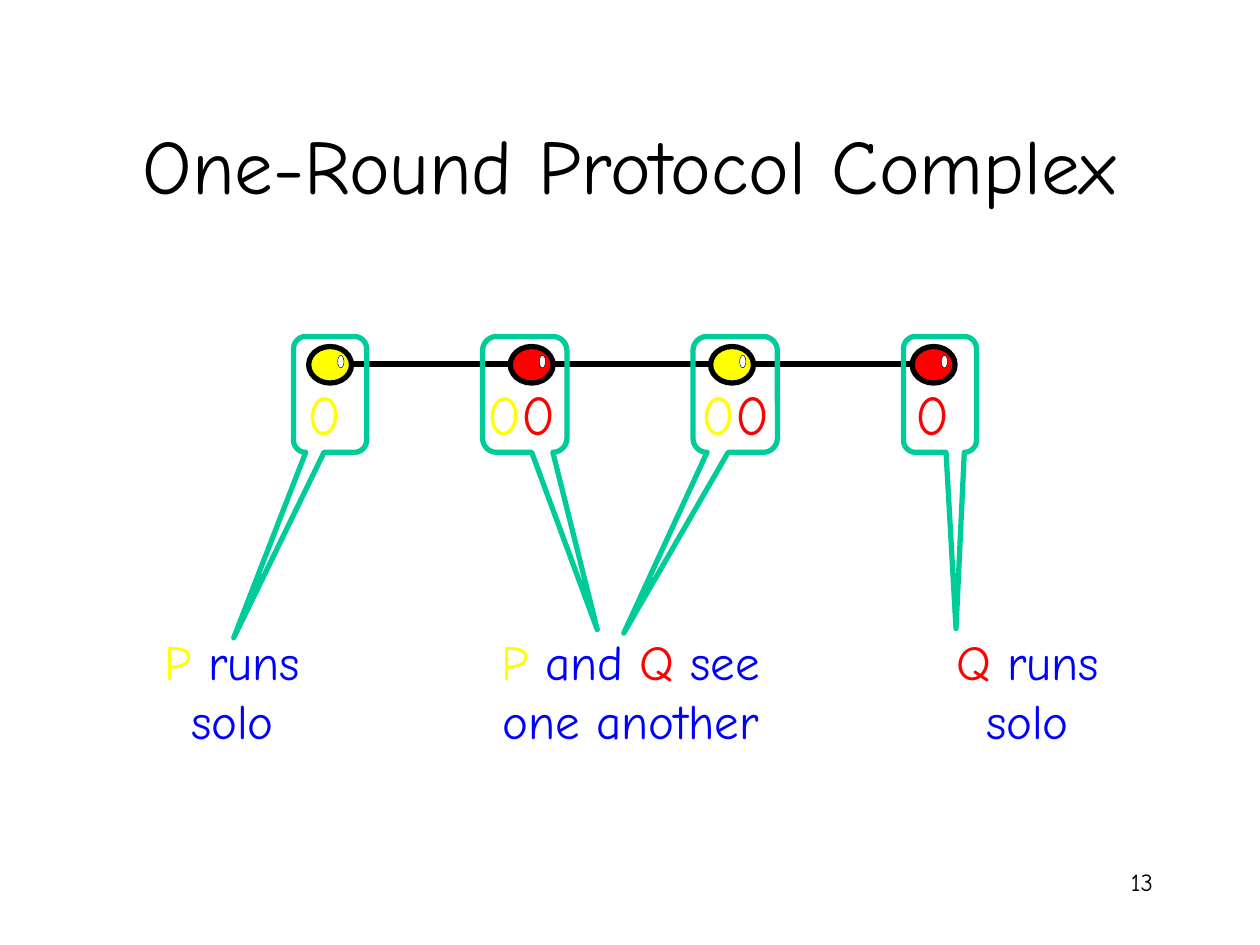
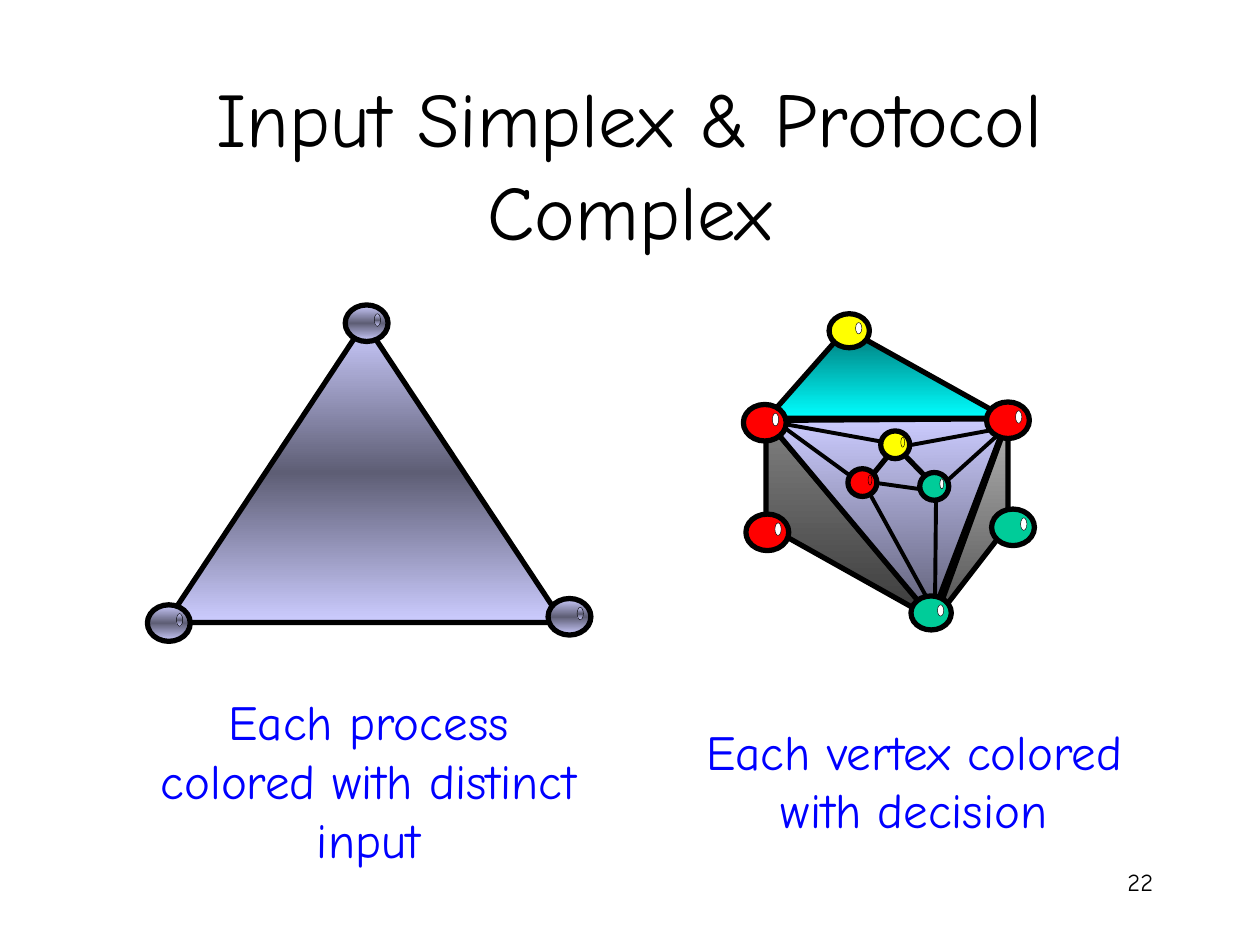
from dataclasses import dataclass

from lxml.etree import SubElement
from pptx import Presentation
from pptx.dml.color import RGBColor as Rgb
from pptx.enum.shapes import MSO_CONNECTOR as Link, MSO_SHAPE as Preset
from pptx.enum.text import MSO_ANCHOR as Anchor, PP_ALIGN as Align
from pptx.oxml.ns import qn
from pptx.util import Emu, Pt

PX = 9144


@dataclass(frozen=True)
class Theme:
    font: str = "Comic Neue"
    ink: str = "000000"
    paper: str = "FFFFFF"
    blue: str = "0000FF"
    yellow: str = "FFFF00"
    red: str = "FF0000"
    green: str = "00CC99"
    steel: tuple = ("CCCCFF", "5E5E75", "CCCCFF")
    rising_steel: tuple = ("5E5E75", "CCCCFF")
    teal: tuple = ("007575", "00FFFF")
    light_grey: tuple = ("B2B2B2", "525252")
    dark_grey: tuple = ("808080", "3B3B3B")
    title_size: int = 44
    value_size: int = 32
    label_size: int = 28
    number_size: int = 14
    bold_line: float = 3
    thin_line: float = 2.25
    hair_line: float = 0.25


THEME = Theme()

BEADS = {
    "large": ((34, 29), (23, 7, 5, 10)),
    "medium": ((32, 27), (21, 7, 5, 9)),
    "small": ((23, 22), (16, 5, 3, 8)),
}


class Painter:
    def __init__(self, deck, theme):
        self.deck = deck
        self.theme = theme
        self.page = None

    def new_page(self, title, number):
        theme = self.theme
        self.page = self.deck.slides.add_slide(self.deck.slide_layouts[6])
        self.text(75, 67, 850, 125, [(title, theme.ink)], theme.title_size)
        self.text(717, 683, 208, 50, [(number, theme.ink)], theme.number_size,
                  align=Align.RIGHT, anchor=Anchor.TOP)

    def text(self, left, top, width, height, parts, size,
             align=Align.CENTER, anchor=Anchor.MIDDLE, wrap=True):
        box = self.page.shapes.add_textbox(
            *(Emu(side * PX) for side in (left, top, width, height)))
        frame = box.text_frame
        frame.word_wrap = wrap
        frame.vertical_anchor = anchor
        para = frame.paragraphs[0]
        para.alignment = align
        for words, color in parts:
            span = para.add_run()
            span.text = words
            span.font.name = self.theme.font
            span.font.size = Pt(size)
            span.font.color.rgb = Rgb.from_string(color)

    def paint(self, shape, fill, line, weight):
        shape.shadow.inherit = False
        if fill is None:
            shape.fill.background()
        elif isinstance(fill, tuple):
            self.gradient(shape, fill)
        else:
            shape.fill.solid()
            shape.fill.fore_color.rgb = Rgb.from_string(fill)
        shape.line.color.rgb = Rgb.from_string(line)
        shape.line.width = Pt(weight)

    def gradient(self, shape, colors):
        shape.fill.gradient()
        shape.fill.gradient_angle = 270
        stops = shape._element.spPr.find(qn("a:gradFill")).find(qn("a:gsLst"))
        stops.clear()
        for index, color in enumerate(colors):
            position = index * 100000 // (len(colors) - 1)
            stop = SubElement(stops, qn("a:gs"), pos=str(position))
            SubElement(stop, qn("a:srgbClr"), val=color)

    def shape(self, preset, left, top, width, height, fill,
              line=None, weight=None, adjust=(), turn=0):
        shape = self.page.shapes.add_shape(
            preset, *(Emu(side * PX) for side in (left, top, width, height)))
        for index, value in enumerate(adjust):
            shape.adjustments[index] = value
        shape.rotation = turn
        self.paint(shape, fill, line or self.theme.ink,
                   weight or self.theme.bold_line)

    def polygon(self, points, fill):
        builder = self.page.shapes.build_freeform(*points[0], scale=PX)
        builder.add_line_segments(points[1:], close=True)
        self.paint(builder.convert_to_shape(), fill,
                   self.theme.ink, self.theme.bold_line)

    def line(self, start, end, weight):
        connector = self.page.shapes.add_connector(
            Link.STRAIGHT, *(Emu(value * PX) for value in (*start, *end)))
        connector.line.color.rgb = Rgb.from_string(self.theme.ink)
        connector.line.width = Pt(weight)
        SubElement(connector._element.spPr, qn("a:effectLst"))

    def bead(self, left, top, fill, size="large", shine=None):
        (width, height), (right, down, *shine_size) = BEADS[size]
        self.shape(Preset.OVAL, left, top, width, height, fill)
        self.shape(Preset.OVAL, left + right, top + down, *shine_size,
                   shine or self.theme.paper, weight=self.theme.hair_line)

    def callout(self, left, width, tip):
        self.shape(Preset.ROUNDED_RECTANGULAR_CALLOUT, left, 267, width, 92,
                   None, self.theme.green, adjust=(*tip, 0.167))


def draw_one_round(painter):
    theme = painter.theme
    painter.new_page("One-Round Protocol Complex", "13")

    painter.line((267, 289), (742, 289), theme.bold_line)
    for index in range(4):
        painter.bead(245 + index * 160 - index // 2, 275,
                     (theme.yellow, theme.red)[index % 2])

    p_value, q_value = ("0", theme.yellow), ("0", theme.red)
    for left, width, values in (
        (234, 47, [p_value]),
        (377, 74, [p_value, q_value]),
        (547, 74, [p_value, q_value]),
        (717, 47, [q_value]),
    ):
        painter.text(left, 296, width, 64, values, theme.value_size, wrap=False)

    p_name, q_name = ("P", theme.yellow), ("Q", theme.red)
    solo = (" runs solo", theme.blue)
    for left, width, parts in (
        (105, 159, [p_name, solo]),
        (369, 263, [p_name, (" and ", theme.blue),
                    q_name, (" see one another", theme.blue)]),
        (736, 159, [q_name, solo]),
    ):
        painter.text(left, 496, width, 104, parts, theme.label_size)

    for left, width, tip in (
        (233, 58, (-1.32, 2.1)),
        (717, 58, (0.22, 2.02)),
        (383, 67, (0.86, 2.03)),
        (550, 67, (-1.32, 2.06)),
    ):
        painter.callout(left, width, tip)


def draw_input_simplex(painter):
    theme = painter.theme
    for left, top in ((274, 242), (435, 475), (117, 480)):
        if top == 242:
            painter.shape(Preset.ISOSCELES_TRIANGLE, 132, 256, 315, 238,
                          theme.steel)
        painter.bead(left, top, theme.steel, shine=theme.steel)


def draw_protocol_complex(painter):
    theme = painter.theme
    painter.shape(Preset.ISOSCELES_TRIANGLE, 609, 261, 190, 71, theme.teal,
                  adjust=(0.33,))
    painter.shape(Preset.ISOSCELES_TRIANGLE, 609, 333, 191, 157,
                  theme.rising_steel, adjust=(0.32,), turn=179.6)

    for start, end, weight in (
        ((615, 334), (685, 385), theme.thin_line),
        ((685, 386), (712, 353), theme.bold_line),
        ((712, 355), (744, 388), theme.bold_line),
        ((686, 382), (743, 390), theme.thin_line),
        ((713, 355), (800, 339), theme.thin_line),
        ((800, 338), (739, 393), theme.thin_line),
        ((686, 384), (742, 486), theme.thin_line),
        ((743, 386), (742, 489), theme.thin_line),
        ((614, 335), (719, 354), theme.thin_line),
    ):
        painter.line(start, end, weight)

    for left, top, fill, size, shine in (
        (730, 375, theme.green, "small", theme.paper),
        (699, 342, theme.yellow, "small", theme.yellow),
        (673, 372, theme.red, "small", theme.red),
        (658, 249, theme.yellow, "medium", theme.paper),
        (723, 473, theme.green, "medium", theme.paper),
        (590, 321, theme.red, "large", theme.paper),
        (592, 408, theme.red, "large", theme.paper),
        (783, 319, theme.red, "large", theme.paper),
    ):
        painter.bead(left, top, fill, size, shine)


def draw_simplex_and_complex(painter):
    theme = painter.theme
    painter.new_page("Input Simplex & Protocol Complex", "22")

    for outer, fill in ((800, theme.light_grey), (608, theme.dark_grey)):
        painter.polygon([(outer, 333), (outer, 417), (742, 492)], fill)
    painter.bead(787, 404, theme.green)

    draw_input_simplex(painter)
    for left, words in (
        (117, "Each process colored with distinct input"),
        (550, "Each vertex colored with decision"),
    ):
        painter.text(left, 544, 351, 150, [(words, theme.blue)],
                     theme.label_size)
    draw_protocol_complex(painter)


def main():
    deck = Presentation()
    deck.slide_width = Emu(1000 * PX)
    deck.slide_height = Emu(750 * PX)
    painter = Painter(deck, THEME)
    draw_one_round(painter)
    draw_simplex_and_complex(painter)
    deck.save("out.pptx")


if __name__ == "__main__":
    main()
